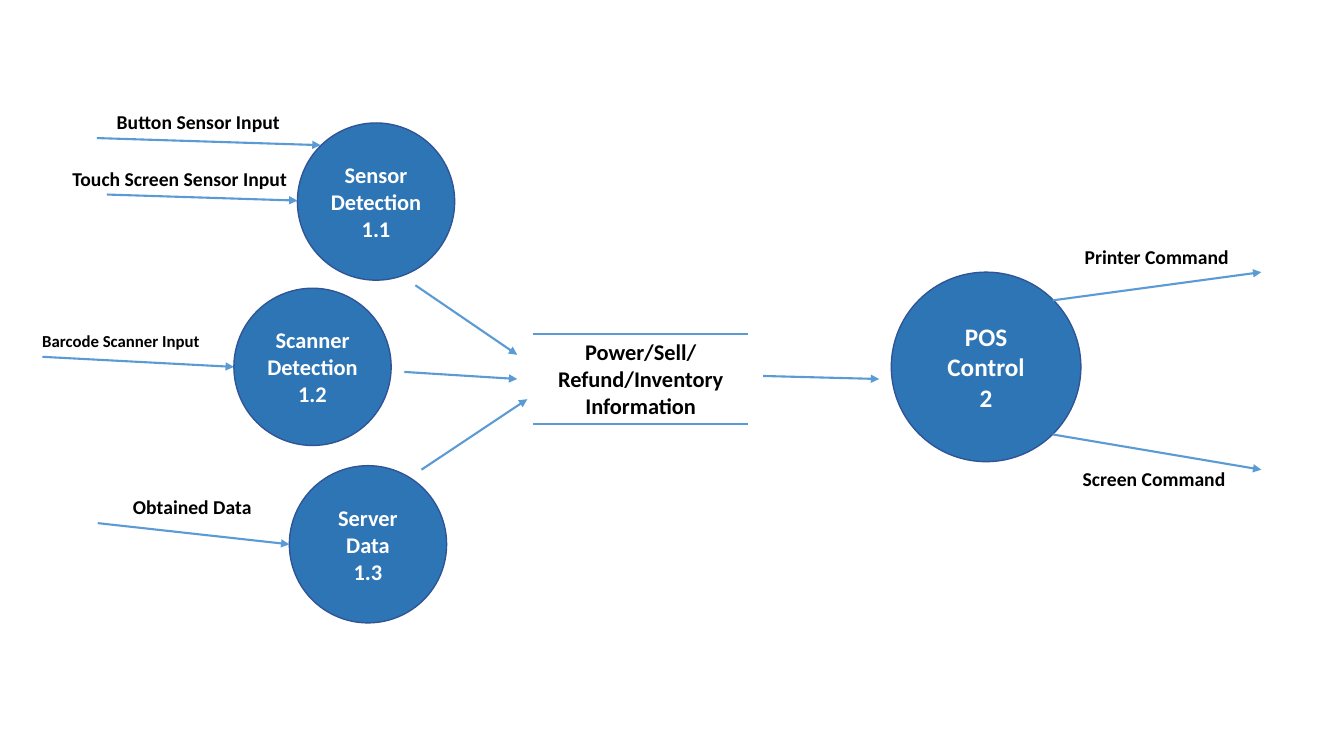
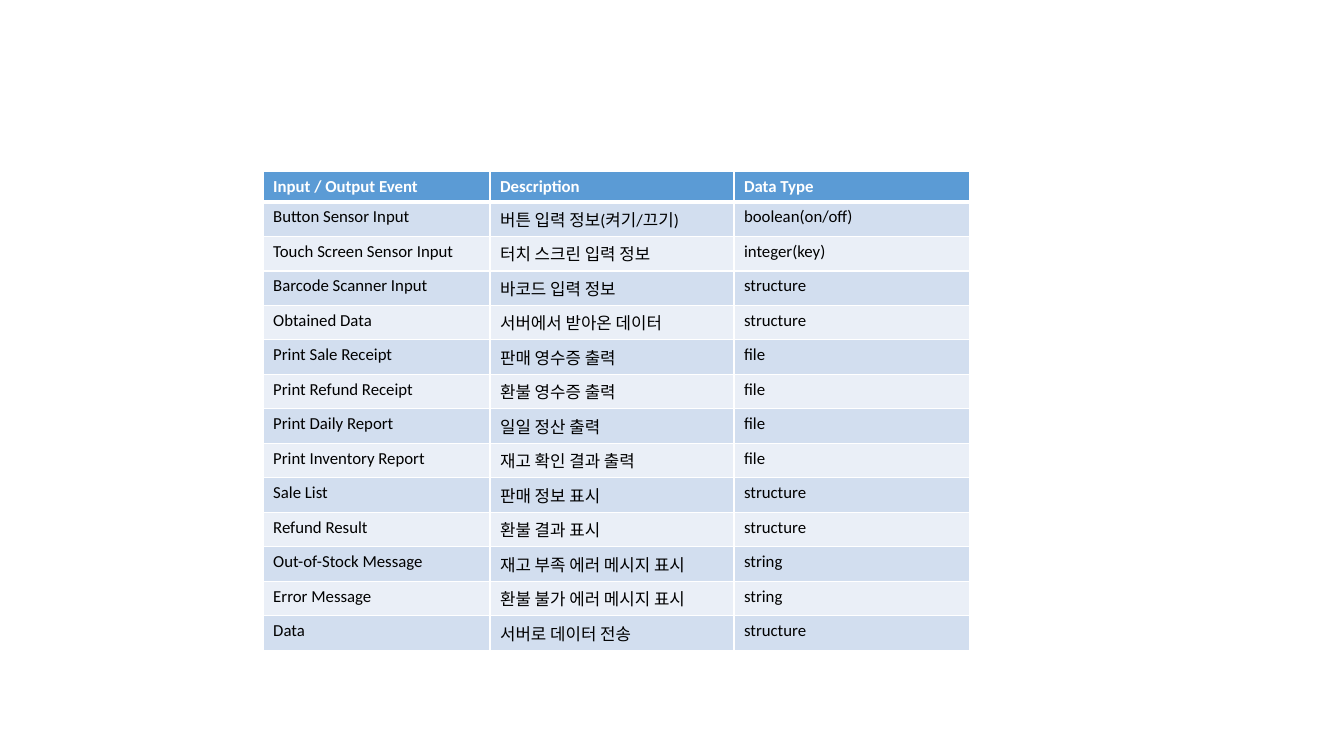
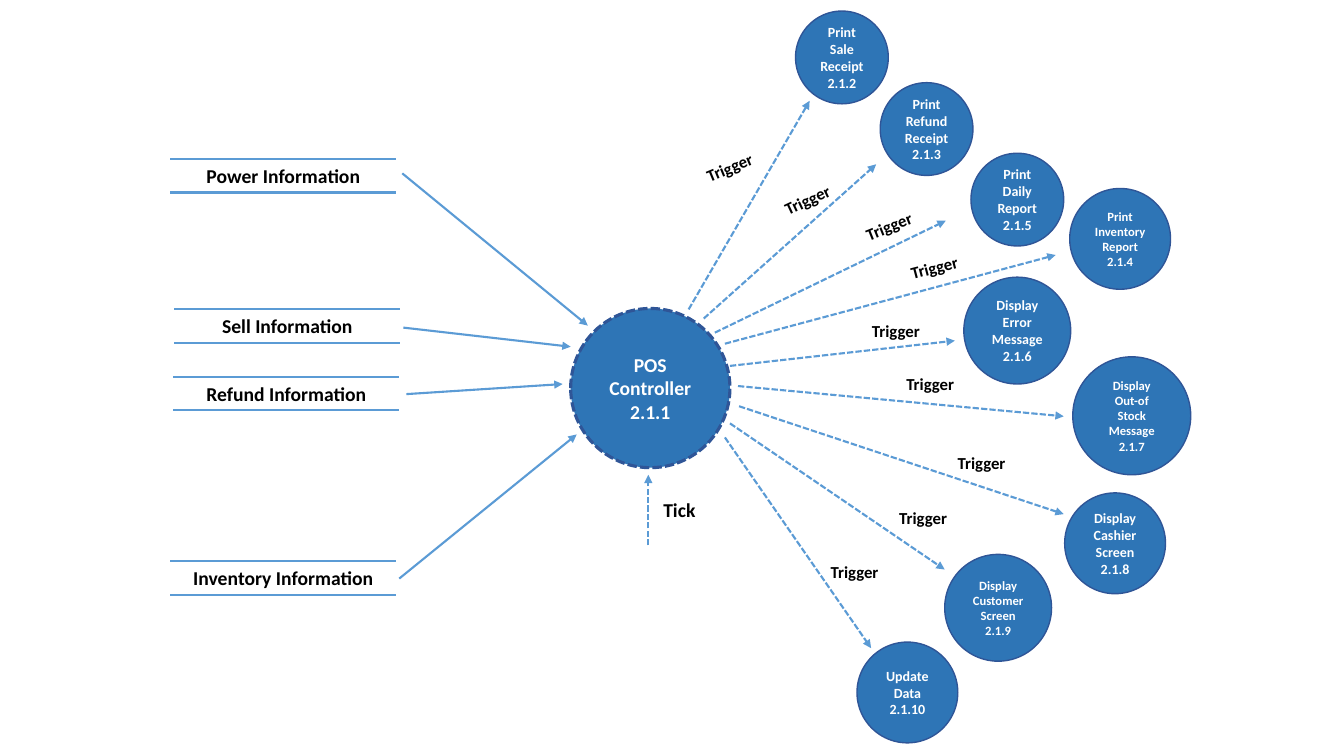
import pptx
import pptx.dml.color
import pptx.enum.dml
import pptx.enum.shapes
import pptx.enum.text
import pptx.oxml
import pptx.oxml.ns
import pptx.util

Inches = pptx.util.Inches
Pt = pptx.util.Pt

FONT = "Calibri"
COLORS = {
    "circle": "2E75B6",
    "outline": "2F5597",
    "arrow": "5B9BD5",
    "header": "5B9BD5",
    "band_dark": "D2DEEF",
    "band_light": "EAEFF7",
    "white": "FFFFFF",
    "black": "000000",
}
DASH = pptx.enum.dml.MSO_LINE.SQUARE_DOT
LEFT = pptx.enum.text.PP_ALIGN.LEFT
CENTER = pptx.enum.text.PP_ALIGN.CENTER
BLANK_LAYOUT = 6

EVENTS = [
    ("Input / Output Event", "Description", "Data Type"),
    ("Button Sensor Input", "버튼 입력 정보(켜기/끄기)", "boolean(on/off)"),
    ("Touch Screen Sensor Input", "터치 스크린 입력 정보", "integer(key)"),
    ("Barcode Scanner Input", "바코드 입력 정보", "structure"),
    ("Obtained Data", "서버에서 받아온 데이터", "structure"),
    ("Print Sale Receipt", "판매 영수증 출력", "file"),
    ("Print Refund Receipt", "환불 영수증 출력", "file"),
    ("Print Daily Report", "일일 정산 출력", "file"),
    ("Print Inventory Report", "재고 확인 결과 출력", "file"),
    ("Sale List", "판매 정보 표시", "structure"),
    ("Refund Result", "환불 결과 표시", "structure"),
    ("Out-of-Stock Message", "재고 부족 에러 메시지 표시", "string"),
    ("Error Message", "환불 불가 에러 메시지 표시", "string"),
    ("Data", "서버로 데이터 전송", "structure"),
]


def color(name):
    """Return the named colour of the palette."""
    return pptx.dml.color.RGBColor.from_string(COLORS[name])


def write_text(frame, text, size=14, ink="black", bold=True, align=LEFT):
    """Fill a text frame, one paragraph for each line of text."""
    frame.text = text
    for para in frame.paragraphs:
        para.alignment = align
        for span in para.runs:
            span.font.name = FONT
            span.font.size = Pt(size)
            span.font.bold = bold
            span.font.color.rgb = color(ink)


def add_label(page, text, left, top, width, height=0.34, wrap=False,
              rotation=0, **style):
    """Add a free-standing label."""
    box = page.shapes.add_textbox(
        Inches(left), Inches(top), Inches(width), Inches(height))
    box.rotation = rotation
    box.text_frame.word_wrap = wrap
    box.text_frame.auto_size = pptx.enum.text.MSO_AUTO_SIZE.SHAPE_TO_FIT_TEXT
    write_text(box.text_frame, text, **style)


def add_process(page, text, left, top, diameter, size=10, width=1, dash=None):
    """Add a process circle with centred white text."""
    circle = page.shapes.add_shape(
        pptx.enum.shapes.MSO_SHAPE.OVAL,
        Inches(left), Inches(top), Inches(diameter), Inches(diameter))
    circle.shadow.inherit = False
    circle.fill.solid()
    circle.fill.fore_color.rgb = color("circle")
    circle.line.color.rgb = color("outline")
    circle.line.width = Pt(width)
    circle.line.dash_style = dash
    circle.text_frame.vertical_anchor = pptx.enum.text.MSO_ANCHOR.MIDDLE
    write_text(circle.text_frame, text, size=size, ink="white", align=CENTER)


def add_line(page, start, end, dash=None, arrow=True):
    """Add a straight flow line, with an arrowhead at its end by default."""
    line = page.shapes.add_connector(
        pptx.enum.shapes.MSO_CONNECTOR.STRAIGHT,
        *(Inches(length) for length in (*start, *end)))
    line.line.color.rgb = color("arrow")
    line.line.width = Pt(1.5)
    line.line.dash_style = dash
    properties = line.element.spPr
    if arrow:
        outline = properties.find(pptx.oxml.ns.qn("a:ln"))
        outline.append(pptx.oxml.parse_xml(
            f'<a:tailEnd {pptx.oxml.ns.nsdecls("a")} type="triangle"/>'))
    properties.append(pptx.oxml.parse_xml(
        f'<a:effectLst {pptx.oxml.ns.nsdecls("a")}/>'))


def add_store(page, text, left, top, width, height, text_width, size=14):
    """Add a data store: centred text between two rules."""
    for y in (top, top + height):
        add_line(page, (left, y), (left + width, y), arrow=False)
    add_label(page, text, left + (width - text_width) / 2, top, text_width,
              height, size=size, align=CENTER)


def set_borders(cell, **widths):
    """Draw white cell borders; the keywords give each side's points."""
    properties = cell._tc.get_or_add_tcPr()
    for side in "LRTB":
        properties.append(pptx.oxml.parse_xml(
            f'<a:ln{side} {pptx.oxml.ns.nsdecls("a")} '
            f'w="{Pt(widths.get(side, 1))}"><a:solidFill>'
            f'<a:srgbClr val="{COLORS["white"]}"/></a:solidFill></a:ln{side}>'))


def add_event_table(page, rows, left, top, widths, height, row_height):
    """Add a banded table whose first row is the header."""
    frame = page.shapes.add_table(
        len(rows), len(widths), Inches(left), Inches(top),
        Inches(sum(widths)), Inches(height))
    table = frame.table
    table.horz_banding = False
    for column, width in zip(table.columns, widths):
        column.width = Inches(width)
    for number, values in enumerate(rows):
        table.rows[number].height = Inches(row_height)
        is_header = number == 0
        band = "band_dark" if number % 2 else "band_light"
        for cell, value in zip(table.rows[number].cells, values):
            set_borders(cell, T=3 if number == 1 else 1,
                        B=3 if is_header else 1)
            cell.fill.solid()
            cell.fill.fore_color.rgb = color("header" if is_header else band)
            write_text(cell.text_frame, value, size=12, bold=is_header,
                       ink="white" if is_header else "black")
    frame.height = Inches(height)


def build_overview(page):
    """Draw the flow from sensors through the store to the control."""
    for text, left, top in [
        ("Sensor\nDetection\n1.1", 2.95, 1.22),
        ("Scanner\nDetection\n1.2", 2.32, 2.86),
        ("Server\nData\n1.3", 2.87, 4.62),
    ]:
        add_process(page, text, left, top, 1.56, size=16)
    add_process(page, "POS\nControl\n2", 8.84, 2.7, 1.88, size=18)

    for start, end in [
        ((0.96, 1.37), (3.18, 1.44)),
        ((1.06, 1.93), (2.95, 1.99)),
        ((0.42, 3.54), (2.32, 3.64)),
        ((0.97, 5.19), (2.87, 5.4)),
        ((4.12, 2.83), (5.13, 3.52)),
        ((4.01, 3.69), (5.13, 3.76)),
        ((4.18, 4.66), (5.23, 3.96)),
        ((7.57, 3.73), (8.72, 3.76)),
        ((10.44, 2.98), (12.51, 2.7)),
        ((10.44, 4.31), (12.51, 4.66)),
    ]:
        add_line(page, start, end)

    add_store(page, "Power/Sell/\nRefund/Inventory\nInformation",
              5.29, 3.31, 2.13, 0.9, 1.86, size=16)

    add_label(page, "Button Sensor Input", 1.06, 1.04, 1.84)
    add_label(page, "Touch Screen Sensor Input", 0.62, 1.61, 2.34, wrap=True)
    add_label(page, "Barcode Scanner Input", 0.32, 3.23, 2.02, 0.3,
              wrap=True, size=12)
    add_label(page, "Obtained Data", 1.22, 4.86, 1.39)
    add_label(page, "Printer Command", 10.66, 2.38, 1.67, wrap=True)
    add_label(page, "Screen Command", 10.64, 4.58, 1.67, wrap=True)


def build_events(page):
    """Show the table of input and output events."""
    add_event_table(page, EVENTS, 2.61, 1.7, (2.25, 2.42, 2.34), 4.2, 0.26)


def build_controller(page):
    """Draw the controller, its stores and the processes it triggers."""
    add_process(page, "POS\nController\n2.1.1", 5.66, 3.06, 1.58,
                size=14, width=2.25, dash=DASH)
    for text, left, top, diameter, size in [
        ("Print\nSale\nReceipt\n2.1.2", 7.89, 0.11, 0.92, 10),
        ("Print\nRefund\nReceipt\n2.1.3", 8.73, 0.82, 0.92, 10),
        ("Print\nDaily\nReport\n2.1.5", 9.63, 1.52, 0.92, 10),
        ("Print\nInventory\nReport\n2.1.4", 10.61, 1.87, 1, 9),
        ("Display\nError\nMessage\n2.1.6", 9.56, 2.75, 1.06, 10),
        ("Display\nOut-of Stock\nMessage\n2.1.7", 10.64, 3.54, 1.17, 9),
        ("Display\nCashier\nScreen\n2.1.8", 10.56, 4.89, 1, 10),
        ("Display\nCustomer\nScreen\n2.1.9", 9.37, 5.5, 1.06, 9),
        ("Update\nData\n2.1.10", 8.5, 6.37, 1, 10),
    ]:
        add_process(page, text, left, top, diameter, size)

    for start, end, (left, top), rotation in [
        ((6.83, 3.07), (8.03, 1), (6.9, 1.51), 337.5),
        ((6.98, 3.16), (8.69, 1.63), (7.67, 1.83), 334.8),
        ((7.09, 3.3), (9.38, 2.19), (8.48, 2.09), 338.1),
        ((7.19, 3.41), (10.47, 2.53), (8.93, 2.5), 345),
        ((7.24, 3.63), (9.47, 3.38), (8.55, 3.13), 0),
        ((7.32, 3.83), (10.55, 4.13), (8.89, 3.66), 0),
        ((7.33, 4.03), (10.55, 5.1), (9.4, 4.44), 0),
        ((7.24, 4.2), (9.37, 5.65), (8.82, 4.99), 0),
        ((7.19, 4.34), (8.64, 6.43), (8.14, 5.52), 0),
    ]:
        add_line(page, start, end, dash=DASH)
        add_label(page, "Trigger", left, top, 0.68, 0.3,
                  rotation=rotation, size=12)

    for text, left, top, text_width, start, end in [
        ("Power Information", 1.69, 1.58, 1.74, (3.99, 1.72), (5.83, 3.23)),
        ("Sell Information", 1.73, 3.07, 1.51, (4, 3.25), (5.66, 3.44)),
        ("Refund Information", 1.72, 3.74, 1.8, (4.03, 3.91), (5.58, 3.81)),
        ("Inventory Information", 1.69, 5.57, 2, (3.96, 5.74), (5.72, 4.31)),
    ]:
        add_store(page, text, left, top, 2.24, 0.33, text_width)
        add_line(page, start, end)

    add_line(page, (6.43, 5.41), (6.43, 4.71), dash=DASH)
    add_label(page, "Tick", 6.48, 4.89, 0.52)


def main():
    """Build and save the deck."""
    deck = pptx.Presentation()
    deck.slide_width = Inches(13.33)
    deck.slide_height = Inches(7.5)
    for build in (build_overview, build_events, build_controller):
        build(deck.slides.add_slide(deck.slide_layouts[BLANK_LAYOUT]))
    deck.save("out.pptx")


main()
